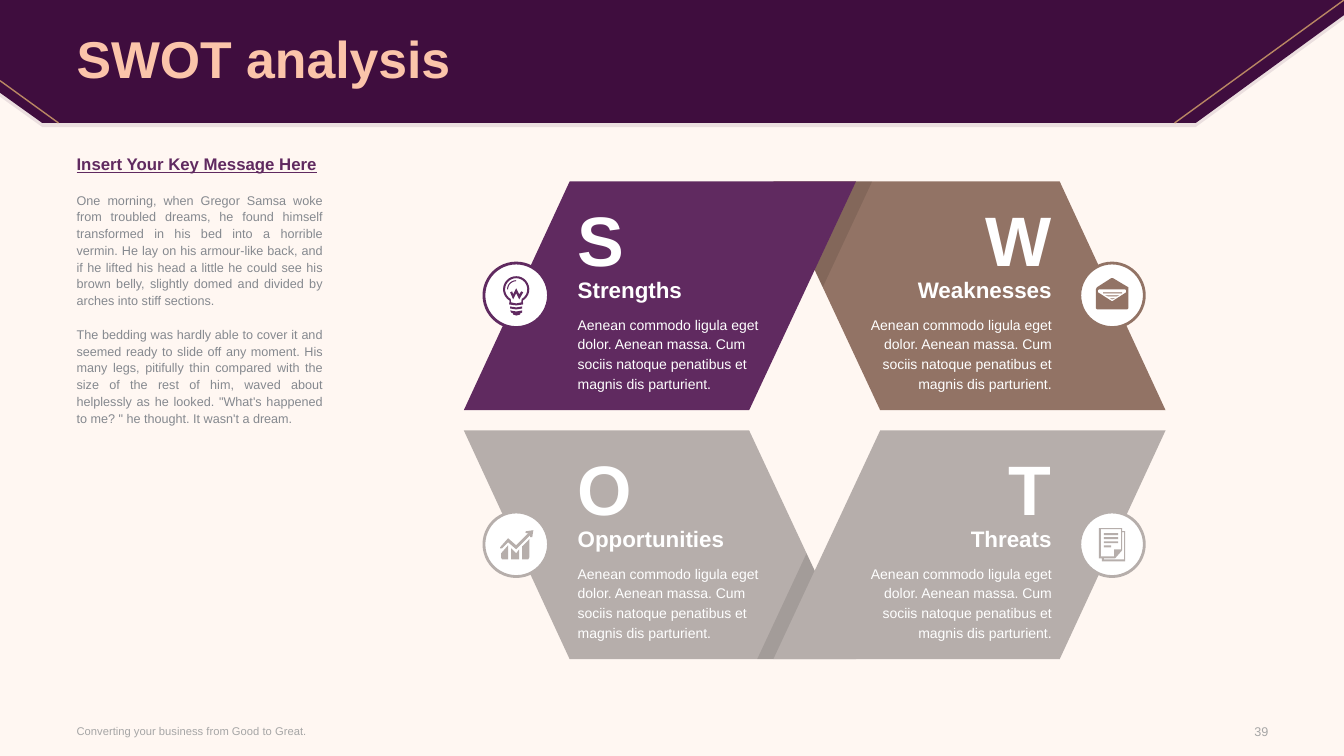
import math

from lxml import etree
from pptx import Presentation
from pptx import util as u
from pptx.dml.color import RGBColor
from pptx.enum import shapes, text
from pptx.oxml import ns

PX = u.Inches(1) // 100
MIRROR_X, MIRROR_Y = 1616, 834
ROW_STEP = 247
COLORS = {
    "cream": "FFF7F2", "plum": "3F0D3E", "peach": "FBC4AA", "gold": "B98763",
    "purple": "602A60", "brown": "927365", "taupe": "B6AEAB", "white": "FFFFFF",
    "black": "000000", "body": "85898F", "footer": "A6A6A6",
}
HEADER = [(1186, 122), (42, 122), (0, 92), (0, 0), (1333, 0), (1333, 15)]
PANEL = [(565, 180), (849, 180), (743, 407), (460, 407)]
FOLD = [(865, 180), (816, 285), (808, 268), (849, 180)]

PROMISE = ("Aenean commodo ligula eget dolor. Aenean massa. Cum sociis natoque "
           "penatibus et magnis dis parturient.")
MESSAGE = [
    "Insert Your Key Message Here",
    "One morning, when Gregor Samsa woke from troubled dreams, he found himself "
    "transformed in his bed into a horrible vermin. He lay on his armour-like back, "
    "and if he lifted his head a little he could see his brown belly, slightly domed "
    "and divided by arches into stiff sections.",
    "The bedding was hardly able to cover it and seemed ready to slide off any moment. "
    "His many legs, pitifully thin compared with the size of the rest of him, waved "
    "about helplessly as he looked. \"What's happened to me? \" he thought. "
    "It wasn't a dream.",
]


def arc(cy, radius, start, end):
    """Points on a circle around (0, cy), angles in degrees, clockwise from the right."""
    steps = 24
    angles = [math.radians(start + (end - start) * i / steps) for i in range(steps + 1)]
    return [(radius * math.cos(a), cy + radius * math.sin(a)) for a in angles]


def bar(left, top, right, bottom):
    return [(left, top), (right, top), (right, bottom), (left, bottom)]


# Icon outlines, measured from the centre of their badge
BULB = [
    arc(-6, 13, 120, 420) + [(7, 9), (0, 10), (-7, 9)],
    arc(-6, 11, 120, 420) + [(5, 7), (0, 8), (-5, 7)],
    arc(-6, 9, 180, 270) + arc(-6, 8, 270, 180),
    [(3, -1), (0, -7), (-3, -1), (-4, -4), (-6, -3), (-3, 4), (0, -2), (3, 4),
     (7, -3), (5, -4)],
    [(-6, 11), (-6, 13), (0, 14), (6, 13), (6, 11), (0, 12)],
    [(-6, 15), (-5, 17), (-3, 18), (-3, 19), (0, 20), (4, 19), (4, 18), (6, 17),
     (6, 15), (0, 16)],
]
ENVELOPE = [
    [(16, -8), (1, -17), (-1, -17), (-15, -8), (-16, -6), (-16, 13), (-15, 14),
     (15, 14), (16, 13), (16, -6)],
    [(14, -3), (0, 6), (-14, -3), (-14, -5), (-13, -6), (13, -6), (14, -5)],
    [(0, 4), (3, 3), (-2, 3)],
    [(-4, 1), (5, 1), (7, 0), (-7, 0)],
    bar(-9, -3, 10, -2),
]
GROWTH = [
    [(-5, 4), (-5, 15), (3, 15), (3, 5), (0, 9)],
    [(-15, 13), (-14, 15), (-8, 15), (-8, 1), (-15, 9)],
    [(6, 2), (6, 15), (12, 15), (13, 13), (13, -5), (7, 1)],
    [(10, -13), (9, -12), (10, -11), (12, -11), (0, 1), (-8, -6), (-16, 3), (-16, 4),
     (-14, 4), (-8, -2), (0, 5), (14, -9), (14, -7), (16, -7), (17, -14)],
]
PAGES = [
    [(10, -13), (10, -16), (-13, -16), (-13, 14), (-10, 14), (-10, 17), (13, 17),
     (13, -13)],
    [(-11, 12), (-11, -15), (9, -15), (9, 5), (2, 5), (2, 12)],
    [(12, 15), (-8, 15), (-8, 14), (3, 14), (10, 6), (10, -12), (12, -12)],
    *[bar(-8, top, 6, top + 2) for top in (-11, -7, -3)],
    bar(-8, 1, -1, 3),
]


def color(name):
    return RGBColor.from_string(COLORS[name])


def mirror(points, across, down):
    return [(MIRROR_X - x if across else x, MIRROR_Y - y if down else y)
            for x, y in points]


def shift(points, dx, dy):
    return [(x + dx, y + dy) for x, y in points]


def add_outline(slide, contours, fill, opacity=100):
    """Draw closed contours as one shape; inner contours become holes."""
    scaled = [[(round(x * PX), round(y * PX)) for x, y in points] for points in contours]
    builder = slide.shapes.build_freeform(*scaled[0][0], scale=1.0)
    for i, points in enumerate(scaled):
        if i:
            builder.move_to(*points[0])
        builder.add_line_segments(points[1:], close=True)
    sp = builder.convert_to_shape()
    sp.shadow.inherit = False
    sp.fill.solid()
    sp.fill.fore_color.rgb = color(fill)
    sp.line.fill.background()
    if opacity < 100:
        rgb = sp.fill._xPr.find(".//" + ns.qn("a:srgbClr"))
        etree.SubElement(rgb, ns.qn("a:alpha"), val=str(opacity * 1000))


def add_line(slide, *ends):
    line = slide.shapes.add_connector(shapes.MSO_CONNECTOR.STRAIGHT,
                                      *[v * PX for v in ends])
    line.line.color.rgb = color("gold")
    line.line.width = u.Pt(1)
    etree.SubElement(line._element.spPr, ns.qn("a:effectLst"))


def place(sp, left, top, width, height):
    sp.left, sp.top, sp.width, sp.height = (v * PX for v in (left, top, width, height))


def set_frame(tf, anchor):
    tf.word_wrap = True
    tf.auto_size = text.MSO_AUTO_SIZE.NONE
    tf.vertical_anchor = anchor
    tf.margin_left = tf.margin_right = tf.margin_top = tf.margin_bottom = 0


def format_paragraph(p, size, ink, bold=False, align=text.PP_ALIGN.LEFT, spacing=None,
                     before=0):
    p.alignment = align
    p.space_before = u.Pt(before)
    if spacing:
        p.line_spacing = spacing
    for r in p.runs:
        r.font.name, r.font.size, r.font.bold = "Arial", u.Pt(size), bold
        r.font.color.rgb = color(ink)


def add_label(slide, box, words, size, ink, anchor=text.MSO_ANCHOR.TOP, **style):
    tf = slide.shapes.add_textbox(*[v * PX for v in box]).text_frame
    set_frame(tf, anchor)
    tf.text = words
    format_paragraph(tf.paragraphs[0], size, ink, **style)


def add_badge(slide, cx, cy, ink, icon):
    sp = slide.shapes.add_shape(shapes.MSO_SHAPE.OVAL, 0, 0, 0, 0)
    place(sp, cx - 32, cy - 32, 64, 64)
    sp.shadow.inherit = False
    sp.fill.solid()
    sp.fill.fore_color.rgb = color("white")
    sp.line.color.rgb = color(ink)
    sp.line.width = u.Pt(2)
    add_outline(slide, [shift(points, cx, cy) for points in icon], ink)


def add_quadrant(slide, heading, ink, icon, col, row):
    add_outline(slide, [mirror(PANEL, col, row)], ink)
    dy = row * ROW_STEP
    add_badge(slide, (512, 1103)[col], 293 + dy, ink, icon)
    left = (573, 849)[col]
    align = (text.PP_ALIGN.LEFT, text.PP_ALIGN.RIGHT)[col]
    add_label(slide, (left, 195 + dy, 194, 84), heading[0], 50, "white",
              bold=True, align=align)
    add_label(slide, (left, 274 + dy, 194, 27), heading, 16, "white",
              bold=True, align=align)
    add_label(slide, (left, 311 + dy, 194, 79), PROMISE, 10, "white",
              align=align, spacing=u.Pt(14))


def fill_title(slide):
    title = slide.shapes.title
    place(title, 76, 3, 1181, 117)
    set_frame(title.text_frame, text.MSO_ANCHOR.MIDDLE)
    title.text_frame.text = "SWOT analysis"
    format_paragraph(title.text_frame.paragraphs[0], 37, "peach", bold=True, spacing=0.9)


def fill_message(slide):
    body = slide.placeholders[1]
    place(body, 76, 156, 244, 519)
    tf = body.text_frame
    set_frame(tf, text.MSO_ANCHOR.TOP)
    tf.text = "\n".join(MESSAGE)
    for i, p in enumerate(tf.paragraphs):
        pPr = p._p.get_or_add_pPr()
        pPr.set("marL", "0")
        pPr.set("indent", "0")
        etree.SubElement(pPr, ns.qn("a:buNone"))
        format_paragraph(p, 9 if i else 12, "body" if i else "purple", bold=not i,
                         align=text.PP_ALIGN.JUSTIFY, spacing=u.Pt(12),
                         before=12 if i else 0)
    tf.paragraphs[0].runs[0].font.underline = True


def main():
    prs = Presentation()
    prs.slide_width, prs.slide_height = 1333 * PX, 750 * PX
    slide = prs.slides.add_slide(prs.slide_layouts[1])
    slide.background.fill.solid()
    slide.background.fill.fore_color.rgb = color("cream")

    add_outline(slide, [shift(HEADER, 0, 4)], "plum", opacity=10)
    add_outline(slide, [HEADER], "plum")
    add_line(slide, 1333, 0, 1165, 122)
    add_line(slide, 0, 80, 58, 122)
    # The title placeholder has to lie above the header band
    slide.shapes._spTree.append(slide.shapes.title._element)
    fill_title(slide)
    fill_message(slide)

    add_quadrant(slide, "Weaknesses", "brown", ENVELOPE, 1, 0)
    add_quadrant(slide, "Opportunities", "taupe", GROWTH, 0, 1)
    add_quadrant(slide, "Threats", "taupe", PAGES, 1, 1)
    for turned in (False, True):
        add_outline(slide, [mirror(FOLD, turned, turned)], "black", opacity=10)
    add_quadrant(slide, "Strengths", "purple", BULB, 0, 0)

    add_label(slide, (76, 712, 523, 26), "Converting your business from Good to Great.",
              8, "footer", anchor=text.MSO_ANCHOR.MIDDLE)
    add_label(slide, (1195, 713, 63, 26), "39", 9, "footer",
              anchor=text.MSO_ANCHOR.MIDDLE, align=text.PP_ALIGN.RIGHT)
    prs.save("out.pptx")


if __name__ == "__main__":
    main()
